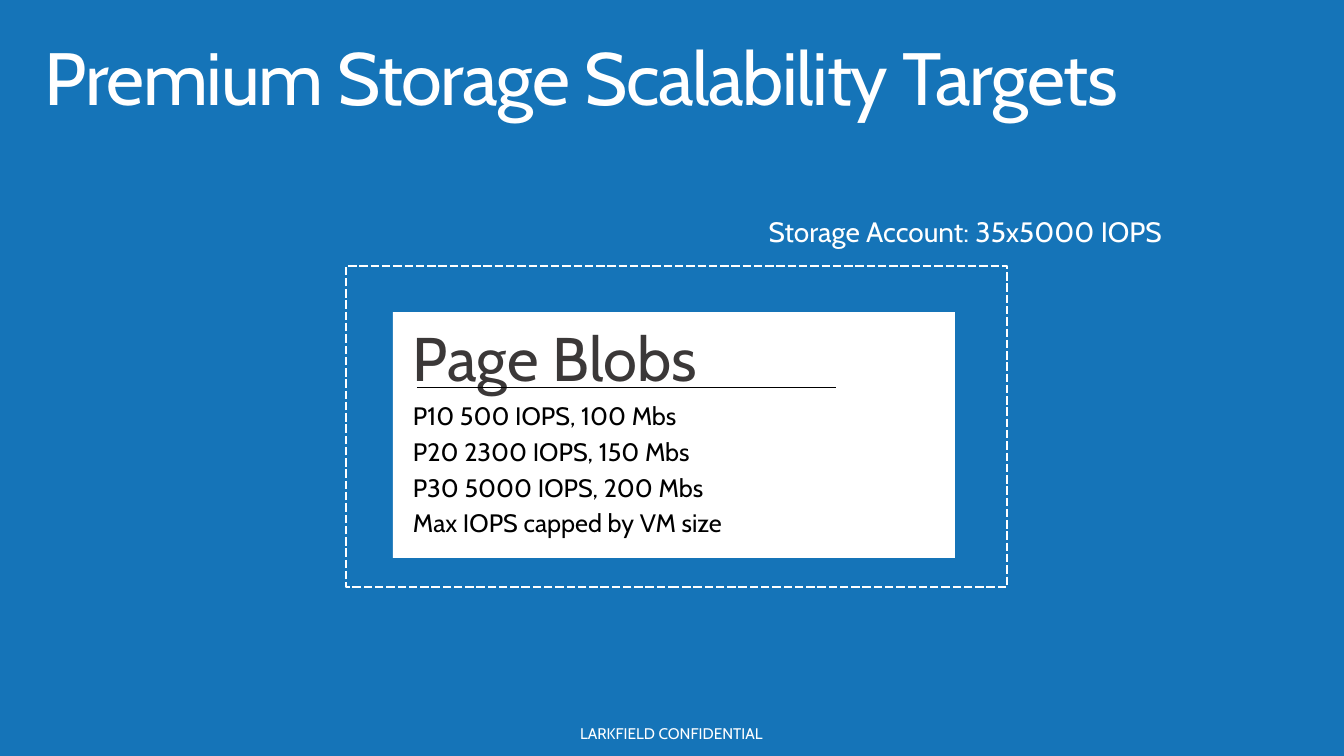
import pptx
import pptx.dml.color
import pptx.enum.dml
import pptx.enum.shapes
import pptx.enum.text
import pptx.oxml
import pptx.oxml.ns
import pptx.util

EMU_PER_PX = 914400 / 100.8
BLUE = pptx.dml.color.RGBColor(0x15, 0x74, 0xB8)
WHITE = pptx.dml.color.RGBColor(0xFF, 0xFF, 0xFF)
GRAY = pptx.dml.color.RGBColor(0x3B, 0x38, 0x38)
BLACK = pptx.dml.color.RGBColor(0x00, 0x00, 0x00)
ALIGN = pptx.enum.text.PP_ALIGN
ANCHOR = pptx.enum.text.MSO_ANCHOR


def px(*lengths):
    return [pptx.util.Emu(round(length * EMU_PER_PX)) for length in lengths]


class SlideBuilder:
    """Holds the text style and the slide being built."""

    font_name = "Cabin"
    line_spacing = 0.9

    def __init__(self, slide):
        self.slide = slide

    def background(self, color):
        fill = self.slide.background.fill
        fill.solid()
        fill.fore_color.rgb = color

    def set_text(self, shape, lines, size, color, align=ALIGN.LEFT, anchor=ANCHOR.TOP,
                 after=0, insets=(20, 16), wrap=True, tracking=None):
        frame = shape.text_frame
        frame.word_wrap = wrap
        frame.vertical_anchor = anchor
        horizontal, vertical = px(*insets)
        frame.margin_left = frame.margin_right = horizontal
        frame.margin_top = frame.margin_bottom = vertical
        frame.text = "\n".join(lines)
        for paragraph in frame.paragraphs:
            paragraph.alignment = align
            paragraph.line_spacing = self.line_spacing
            paragraph.space_after = pptx.util.Pt(after)
            paragraph.font.name = self.font_name
            paragraph.font.size = pptx.util.Pt(size)
            paragraph.font.color.rgb = color
            if tracking is not None:
                for run in paragraph.runs:
                    run._r.get_or_add_rPr().set("spc", str(tracking * 100))

    def text(self, box, lines, size, color, **style):
        shape = self.slide.shapes.add_textbox(*px(*box))
        self.set_text(shape, lines, size, color, **style)

    def rectangle(self, box, fill=None, outline=None, width=2):
        shape = self.slide.shapes.add_shape(
            pptx.enum.shapes.MSO_SHAPE.RECTANGLE, *px(*box))
        shape.shadow.inherit = False
        if fill is None:
            shape.fill.background()
        else:
            shape.fill.solid()
            shape.fill.fore_color.rgb = fill
        if outline is None:
            shape.line.fill.background()
        else:
            shape.line.color.rgb = outline
            shape.line.width = pptx.util.Pt(width)
            shape.line.dash_style = pptx.enum.dml.MSO_LINE.SQUARE_DOT
        return shape

    def rule(self, left, right, y, color, width):
        line = self.slide.shapes.add_connector(
            pptx.enum.shapes.MSO_CONNECTOR.STRAIGHT, *px(left, y, right, y))
        line.line.color.rgb = color
        line.line.width = pptx.util.Pt(width)
        properties = line._element.spPr
        properties.append(pptx.oxml.parse_xml(
            f"<a:effectLst {pptx.oxml.ns.nsdecls('a')}/>"))


def main():
    presentation = pptx.Presentation()
    presentation.slide_width, presentation.slide_height = px(1344, 756)
    builder = SlideBuilder(presentation.slides.add_slide(presentation.slide_layouts[6]))
    builder.background(BLUE)

    # Footer and title
    builder.text((555, 710, 233, 48), ["LARKFIELD CONFIDENTIAL"], 11, WHITE,
                 align=ALIGN.CENTER, anchor=ANCHOR.MIDDLE, after=5.9, wrap=False)
    builder.text((29, 32, 1272, 99), ["Premium Storage Scalability Targets"], 52.9, WHITE,
                 insets=(16, 10), tracking=-1)

    # Page blobs panel with its disk tiers
    panel = builder.rectangle((393, 312, 562, 246), fill=WHITE)
    builder.set_text(panel, ["Page Blobs"], 44, GRAY)
    disk_tiers = [
        "P10 500 IOPS, 100 Mbs",
        "P20 2300 IOPS, 150 Mbs",
        "P30 5000 IOPS, 200 Mbs",
        "Max IOPS capped by VM size",
    ]
    builder.text((393, 388, 573, 199), disk_tiers, 18, BLACK, after=6)
    builder.rule(417, 836, 388, BLACK, 0.75)

    # Storage account boundary and its label
    builder.rectangle((346, 266, 661, 321), outline=WHITE)
    builder.text((610, 203, 572, 64), ["Storage Account: 35x5000 IOPS"], 20, WHITE,
                 align=ALIGN.RIGHT, after=6)

    presentation.save("out.pptx")


if __name__ == "__main__":
    main()
